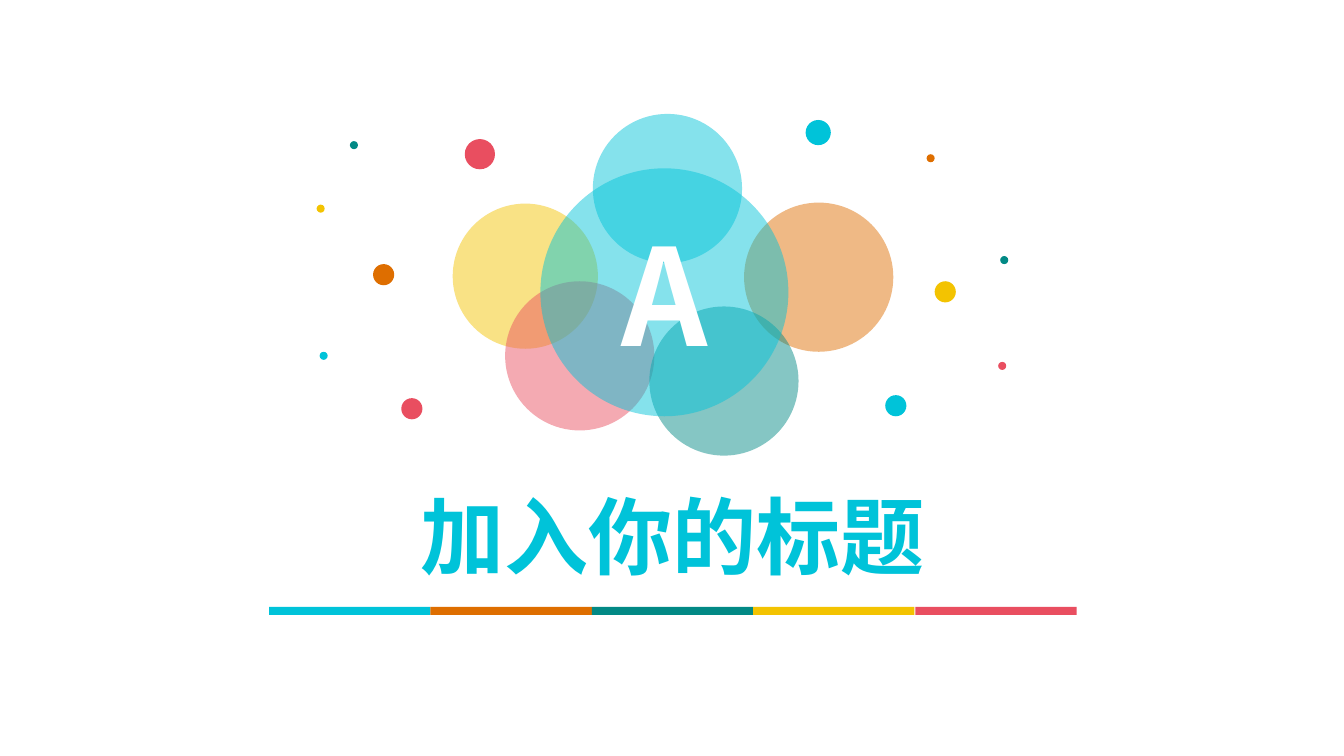
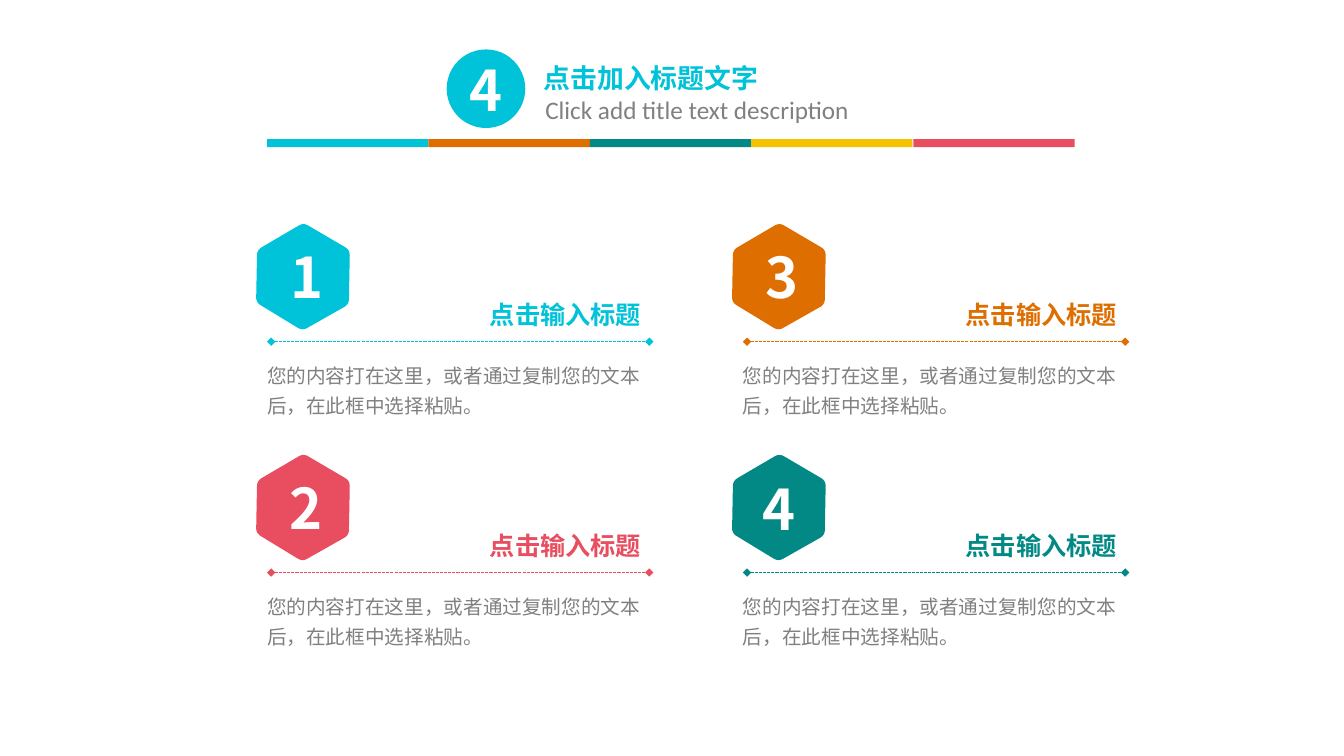
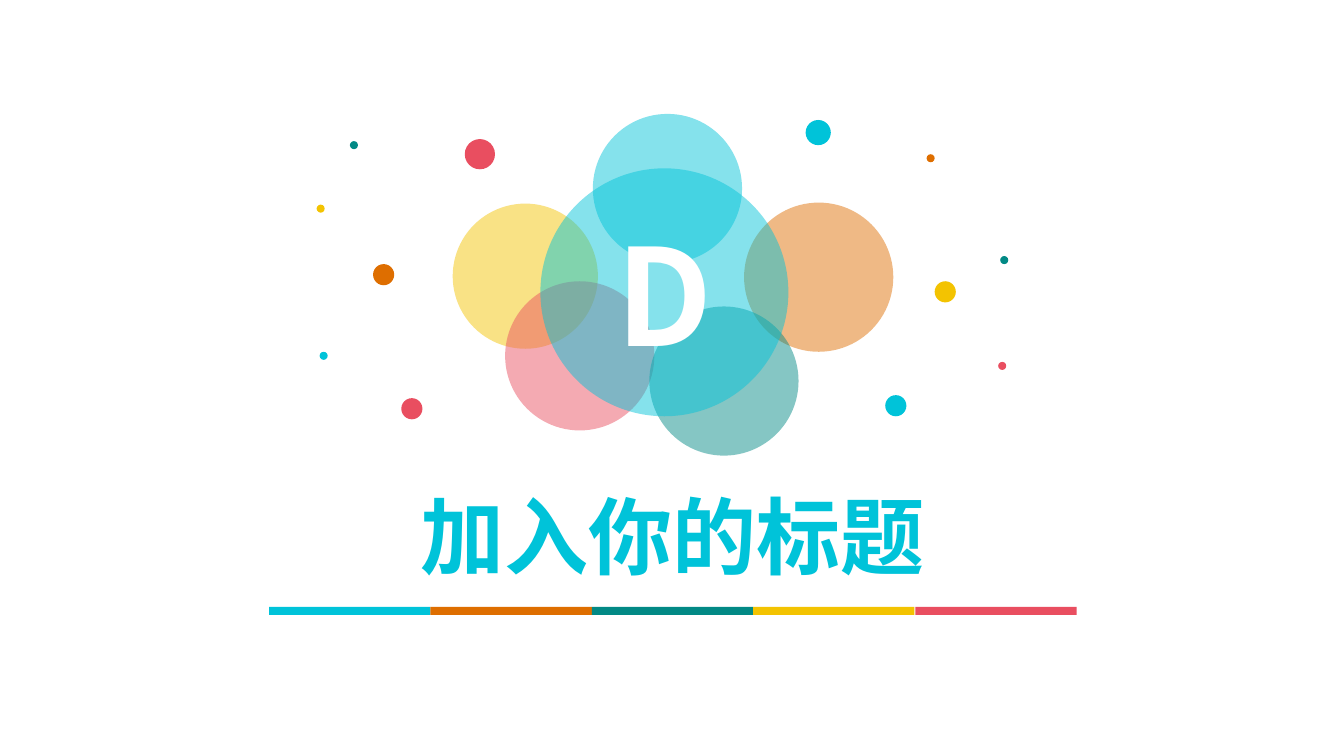
"""Build two title slides around a numbered four-item slide."""
from dataclasses import dataclass, field
from typing import Any

from lxml import etree
from pptx import Presentation, util as u
from pptx.dml.color import RGBColor
from pptx.enum import dml, shapes, text as t
from pptx.oxml import ns

PX = 9144
CYAN = RGBColor(0x00, 0xC3, 0xD9)
ORANGE = RGBColor(0xDE, 0x6E, 0x00)
TEAL = RGBColor(0x02, 0x89, 0x85)
YELLOW = RGBColor(0xF3, 0xC3, 0x01)
RED = RGBColor(0xE9, 0x4E, 0x60)
GRAY = RGBColor(0x80, 0x80, 0x80)
WHITE = RGBColor(0xFF, 0xFF, 0xFF)
BAND = (CYAN, ORANGE, TEAL, YELLOW, RED)
SANS = "Noto Sans CJK SC"
BODY = "您的内容打在这里，或者通过复制您的文本后，在此框中选择粘贴。"
HEX = ((46, 105), (0, 77), (1, 25), (47, -2), (93, 25), (92, 79))
MID = t.MSO_ANCHOR.MIDDLE
GROW = t.MSO_AUTO_SIZE.SHAPE_TO_FIT_TEXT


@dataclass(frozen=True)
class Dot:
    x: int
    y: int
    size: int
    color: RGBColor
    alpha: int = 100


@dataclass(frozen=True)
class Style:
    size: int
    color: RGBColor
    bold: bool = True
    font: str = SANS
    small: bool = False
    para: dict[str, Any] = field(default_factory=dict)
    frame: dict[str, Any] = field(default_factory=dict)


@dataclass(frozen=True)
class Item:
    num: str
    color: RGBColor
    col: int
    row: int
    dx: int
    dy: int = 13


DOTS = (
    Dot(314, 203, 8, YELLOW),
    Dot(449, 202, 144, YELLOW, 48),
    Dot(501, 279, 148, RED, 48),
    Dot(588, 113, 148, CYAN, 48),
    Dot(738, 201, 148, ORANGE, 48),
    Dot(799, 119, 25, CYAN),
    Dot(461, 138, 30, RED),
    Dot(370, 262, 21, ORANGE),
    Dot(347, 140, 8, TEAL),
    Dot(398, 395, 21, RED),
    Dot(317, 349, 8, CYAN),
    Dot(927, 279, 21, YELLOW),
    Dot(919, 153, 8, ORANGE),
    Dot(992, 254, 8, TEAL),
    Dot(878, 392, 21, CYAN),
    Dot(990, 359, 8, RED),
    Dot(644, 304, 148, TEAL, 48),
)
HUB = Dot(536, 167, 246, CYAN, 48)
BADGE = Dot(443, 49, 78, CYAN)
ITEMS = (
    Item("1", CYAN, 0, 0, 24),
    Item("2", RED, 0, 1, 23),
    Item("3", ORANGE, 1, 0, 23),
    Item("4", TEAL, 1, 1, 20, 14),
)


def apply(obj: Any, fmt: dict[str, Any]) -> None:
    for key, val in fmt.items():
        setattr(obj, key, val)


def write(shape: Any, words: str, style: Style) -> None:
    frame = shape.text_frame
    apply(frame, {"word_wrap": True} | style.frame)
    para = frame.paragraphs[0]
    apply(para, style.para)
    run = para.add_run()
    run.text = words
    apply(run.font, {"size": u.Pt(style.size), "bold": style.bold, "name": style.font})
    run.font.color.rgb = style.color
    props = run.font._element
    etree.SubElement(props, ns.qn("a:ea"), typeface=style.font)
    if style.small:
        props.set("cap", "small")


def label(slide: Any, x: int, y: int, w: int, h: int, words: str, style: Style) -> None:
    write(slide.shapes.add_textbox(x * PX, y * PX, w * PX, h * PX), words, style)


def paint(shape: Any, color: RGBColor, alpha: int = 100) -> Any:
    shape.shadow.inherit = False
    shape.fill.solid()
    shape.fill.fore_color.rgb = color
    shape.line.fill.background()
    if alpha < 100:
        tint = shape._element.spPr.find(".//" + ns.qn("a:srgbClr"))
        etree.SubElement(tint, ns.qn("a:alpha"), val=str(alpha * 1000))
    return shape


def disc(slide: Any, dot: Dot) -> Any:
    side = dot.size * PX
    shape = slide.shapes.add_shape(
        shapes.MSO_SHAPE.OVAL, dot.x * PX, dot.y * PX, side, side)
    return paint(shape, dot.color, dot.alpha)


def band(slide: Any, x: int, y: int) -> None:
    for i, color in enumerate(BAND):
        left = x + 641 * i // 4
        bar = slide.shapes.add_shape(
            shapes.MSO_SHAPE.RECTANGLE, left * PX, y * PX, 160 * PX, 8 * PX)
        paint(bar, color)


def hexagon(slide: Any, x: int, y: int, color: RGBColor, trim: float = 0.1) -> None:
    pts = []
    for i, tip in enumerate(HEX):
        prev, nxt = HEX[i - 1], HEX[(i + 1) % len(HEX)]
        for step in range(9):
            k = step / 8
            back, ahead = trim * (1 - k) ** 2, trim * k ** 2
            pts.append(tuple(
                (base + c + back * (p - c) + ahead * (n - c)) * PX
                for base, c, p, n in zip((x, y), tip, prev, nxt)))
    pen = slide.shapes.build_freeform(*pts[0])
    pen.add_line_segments(pts[1:], close=True)
    paint(pen.convert_to_shape(), color)


def rule(slide: Any, x: int, y: int, w: int, color: RGBColor) -> None:
    wire = slide.shapes.add_connector(
        shapes.MSO_CONNECTOR.STRAIGHT, x * PX, y * PX, (x + w) * PX, y * PX)
    wire.line.color.rgb = color
    apply(wire.line, {"width": u.Pt(0.75), "dash_style": dml.MSO_LINE.SQUARE_DOT})
    for end in ("a:headEnd", "a:tailEnd"):
        etree.SubElement(wire.line._ln, ns.qn(end), type="diamond")
    etree.SubElement(wire._element.spPr, ns.qn("a:effectLst"))


def cover(slide: Any, letter: str) -> None:
    center = {"para": {"alignment": t.PP_ALIGN.CENTER}, "frame": {"vertical_anchor": MID}}
    for dot in DOTS:
        disc(slide, dot)
    write(disc(slide, HUB), letter, Style(96, WHITE, **center))
    band(slide, 267, 602)
    label(slide, 175, 494, 984, 74, "加入你的标题", Style(60, CYAN, **center))


def header(slide: Any, num: str) -> None:
    write(disc(slide, BADGE), num, Style(
        40, WHITE, para={"alignment": t.PP_ALIGN.CENTER}, frame={"vertical_anchor": MID}))
    inset = {"margin_left": 8 * PX, "margin_right": 8 * PX,
             "margin_top": 4 * PX, "margin_bottom": 4 * PX}
    label(slide, 531, 50, 288, 48, "点击加入标题文字",
          Style(24, CYAN, small=True, frame={"auto_size": GROW} | inset))
    label(slide, 531, 89, 336, 40, "Click add title text description",
          Style(18, GRAY, False, "Calibri", frame={"auto_size": GROW}))
    band(slide, 265, 138)


def entry(slide: Any, item: Item) -> None:
    x, y = 254 + 472 * item.col, 223 + 229 * item.row
    grow = {"auto_size": GROW}
    hexagon(slide, x, y, item.color)
    rule(slide, x + 15, y + 116, 375, item.color)
    label(slide, x + 222, y + 69, 172, 40, "点击输入标题", Style(
        18, item.color, frame=grow | {"vertical_anchor": MID, "word_wrap": False}))
    label(slide, x + 1, y + 126, 408, 68, BODY,
          Style(14, GRAY, False, para={"line_spacing": 1.3}, frame=grow))
    label(slide, x + item.dx, y + item.dy, 41, 77, item.num, Style(40, WHITE, frame=grow))


def main() -> None:
    deck = Presentation()
    apply(deck, {"slide_width": 1333 * PX, "slide_height": 750 * PX})
    first, second, third = (
        deck.slides.add_slide(deck.slide_layouts[6]) for _ in range(3))
    cover(first, "A")
    header(second, "4")
    for item in ITEMS:
        entry(second, item)
    cover(third, "D")
    deck.save("out.pptx")


if __name__ == "__main__":
    main()
